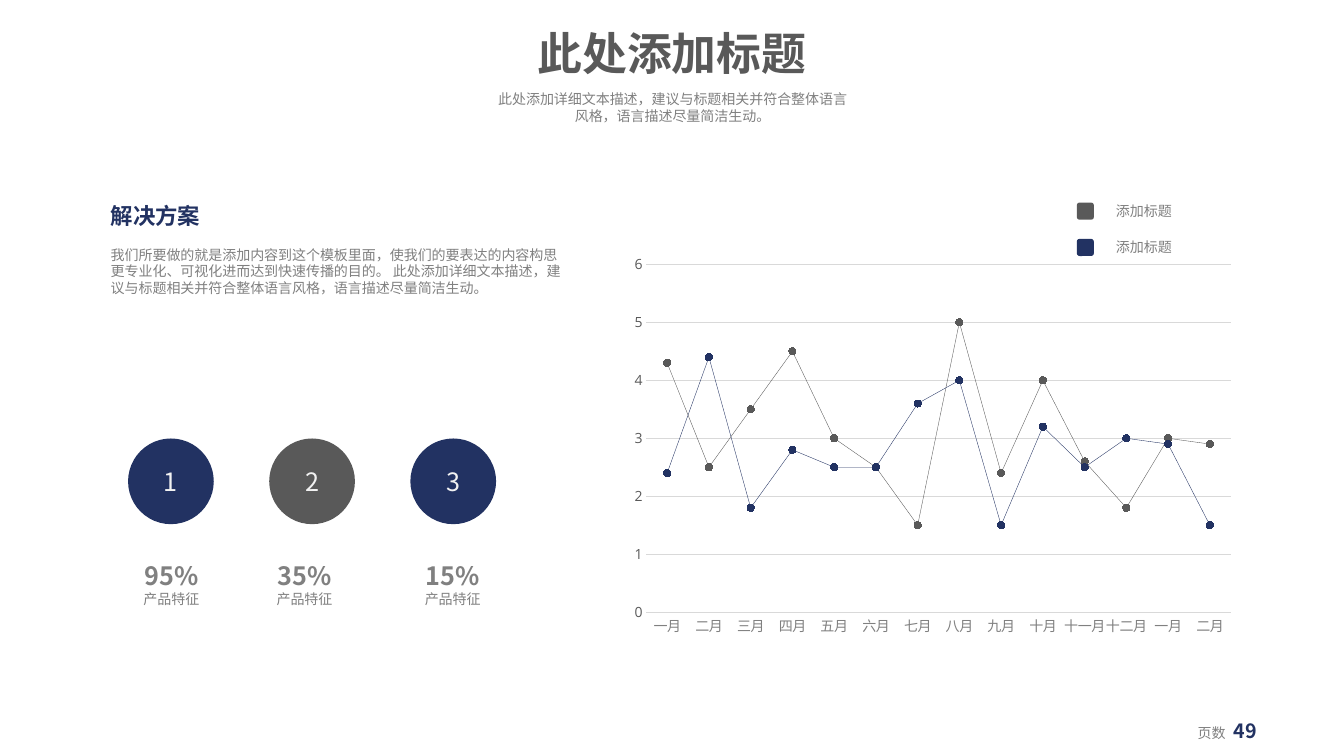
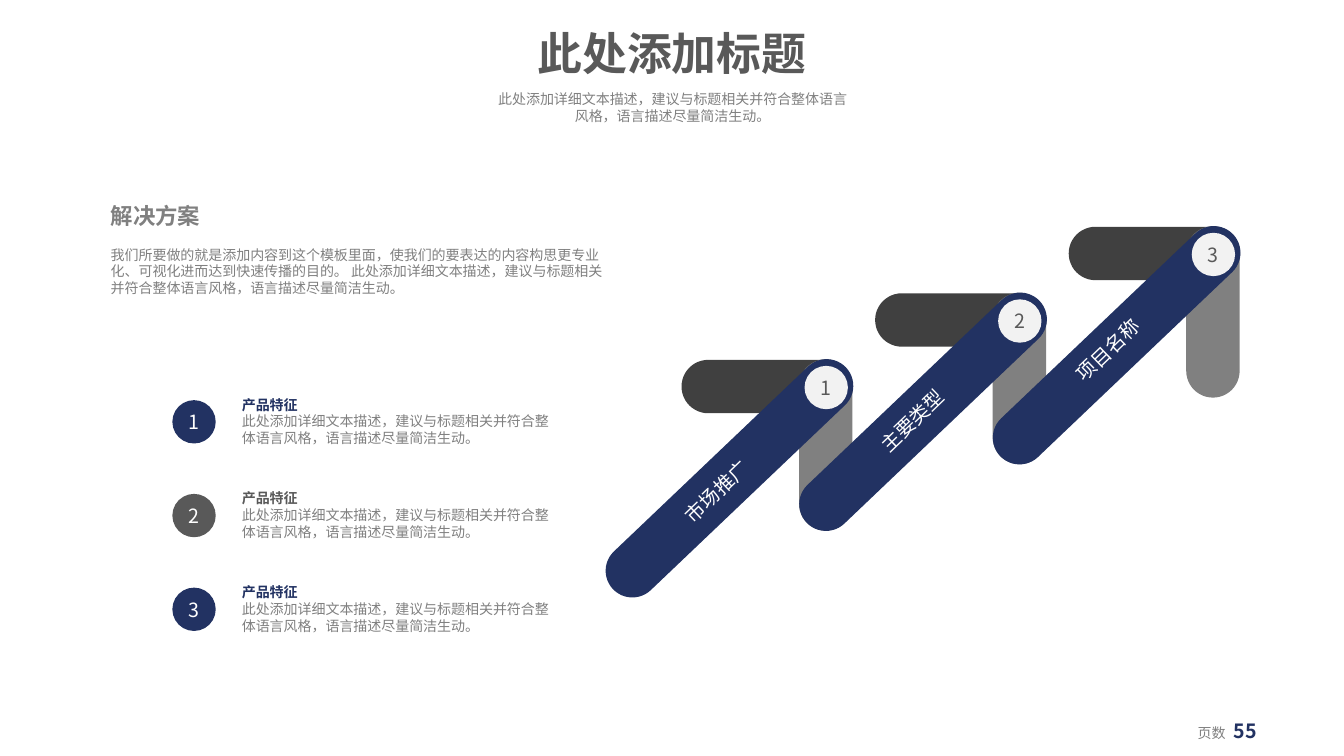
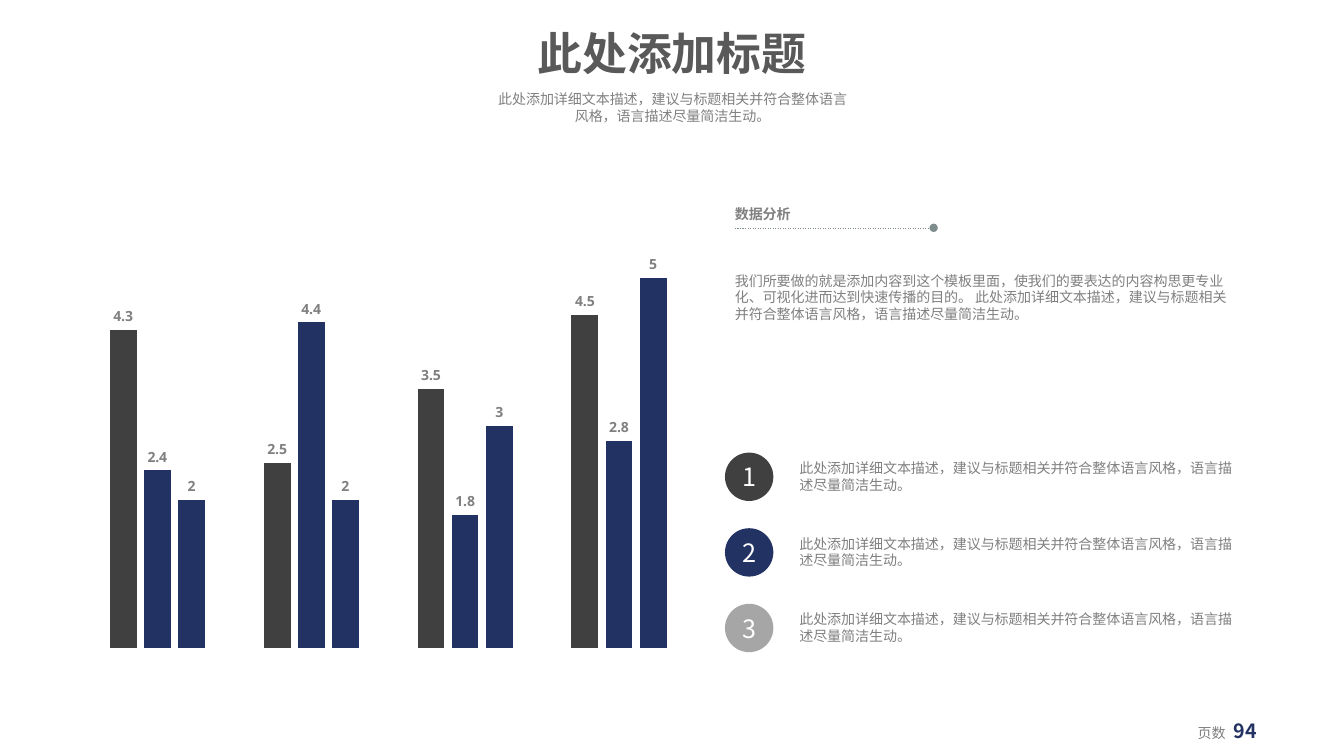
"""Build three business slides: line chart, rising arrows and column chart."""
from lxml import etree
from pptx import Presentation
from pptx import util as u
from pptx.chart.data import CategoryChartData
from pptx.dml.color import RGBColor
from pptx.enum import chart as ch, dml, shapes, text
from pptx.oxml.ns import qn

NAVY = RGBColor(0x22, 0x32, 0x62)
DARK = RGBColor(0x40, 0x40, 0x40)
SLATE = RGBColor(0x59, 0x59, 0x59)
GRAY = RGBColor(0x80, 0x80, 0x80)
SILVER = RGBColor(0xA6, 0xA6, 0xA6)
RULE = RGBColor(0xD9, 0xD9, 0xD9)
TEAL = RGBColor(0x7F, 0x8C, 0x8D)
PALE = RGBColor(0xF2, 0xF2, 0xF2)
WHITE = RGBColor(0xFF, 0xFF, 0xFF)

CJK, LATIN = "Noto Sans CJK SC", "Open Sans"
LEFT, CENTER = text.PP_ALIGN.LEFT, text.PP_ALIGN.CENTER
OVAL, ROUND = shapes.MSO_SHAPE.OVAL, shapes.MSO_SHAPE.ROUNDED_RECTANGLE

BLURB = "此处添加详细文本描述，建议与标题相关并符合整体语言风格，语言描述尽量简洁生动。"
INTRO = "我们所要做的就是添加内容到这个模板里面，使我们的要表达的内容构思更专业化、可视化进而达到快速传播的目的。 " + BLURB
MONTHS = ["一月", "二月", "三月", "四月", "五月", "六月", "七月", "八月", "九月",
          "十月", "十一月", "十二月", "一月", "二月"]


def fmt(size=10, color=GRAY, bold=False, name=CJK):
    """Return the format values of one piece of text."""
    return dict(size=u.Pt(size), color=color, bold=bold, name=name)


def apply(font, values):
    """Set font attributes from a dict of format values."""
    for key, value in values.items():
        if key == "color":
            font.color.rgb = value
        else:
            setattr(font, key, value)


class Deck:
    """Hold the presentation, its style and the current slide."""

    def __init__(self):
        """Start an empty widescreen presentation."""
        self.prs = Presentation()
        self.prs.slide_width, self.prs.slide_height = u.Inches(13.33), u.Inches(7.5)
        self.s = None

    def slide(self, page):
        """Add a slide with the shared title, subtitle and page number."""
        self.s = self.prs.slides.add_slide(self.prs.slide_layouts[5])
        sp = self.s.shapes.title
        sp.left, sp.top, sp.width, sp.height = map(u.Inches, (5.22, 0.21, 2.89, 0.64))
        self.fill_text(sp, [("此处添加标题", fmt(32, SLATE, True))], CENTER, wrap=False)
        self.text((4.8, 0.85, 3.74, 0.44), [(BLURB, fmt())], CENTER)
        sp = self.text((11.78, 7.08, 0.92, 0.34), [])
        p = sp.text_frame.paragraphs[0]
        tabs = etree.SubElement(p._p.get_or_add_pPr(), qn("a:tabLst"))
        etree.SubElement(tabs, qn("a:tab"), pos=str(u.Inches(0.36)), algn="l")
        self.run(p, "页数\t", fmt())
        self.run(p, str(page), fmt(14, NAVY, True))

    def run(self, p, words, values):
        """Add a formatted run to a paragraph."""
        r = p.add_run()
        r.text = words
        apply(r.font, values)
        etree.SubElement(r._r.get_or_add_rPr(), qn("a:ea"), typeface=values["name"])

    def fill_text(self, sp, paras, align=LEFT, wrap=True, gap=0,
                  anchor=text.MSO_ANCHOR.TOP):
        """Write paragraphs of (words, format) into a shape."""
        tf = sp.text_frame
        tf.word_wrap, tf.vertical_anchor = wrap, anchor
        tf.auto_size = text.MSO_AUTO_SIZE.NONE
        for i, (words, values) in enumerate(paras):
            p = tf.add_paragraph() if i else tf.paragraphs[0]
            p.alignment = align
            if i and gap:
                p.space_before = u.Pt(gap)
            self.run(p, words, values)

    def text(self, at, paras, align=LEFT, wrap=True, gap=0, rot=0):
        """Add a text box."""
        sp = self.s.shapes.add_textbox(*map(u.Inches, at))
        sp.rotation = rot
        self.fill_text(sp, paras, align, wrap, gap)
        return sp

    def shape(self, kind, at, color, rot=0):
        """Add a plain filled shape."""
        sp = self.s.shapes.add_shape(kind, *map(u.Inches, at))
        sp.shadow.inherit = False
        sp.fill.solid()
        sp.fill.fore_color.rgb = color
        sp.line.fill.background()
        sp.rotation = rot
        return sp

    def bar(self, at, color, rot=0):
        """Add a bar with fully rounded ends."""
        self.shape(ROUND, at, color, rot).adjustments[0] = 0.5

    def badge(self, x, y, d, number, color, size, ink=WHITE):
        """Add a numbered circle."""
        sp = self.shape(OVAL, (x, y, d, d), color)
        tf = sp.text_frame
        for side in ("left", "right", "top", "bottom"):
            setattr(tf, "margin_" + side, 0)
        self.fill_text(sp, [(str(number), fmt(size, ink))], CENTER,
                       anchor=text.MSO_ANCHOR.MIDDLE)

    def rule(self, x1, x2, y):
        """Add a dashed line that ends in a dot."""
        c = self.s.shapes.add_connector(shapes.MSO_CONNECTOR.STRAIGHT,
                                        *map(u.Inches, (x1, y, x2, y)))
        c.line.color.rgb, c.line.width = TEAL, u.Pt(0.25)
        c.line.dash_style = dml.MSO_LINE.DASH
        etree.SubElement(c.line._get_or_add_ln(), qn("a:tailEnd"), type="oval")
        etree.SubElement(c._element.spPr, qn("a:effectLst"))

    def chart(self, kind, at, cats, rows, values):
        """Add a chart without title or legend and return it."""
        data = CategoryChartData()
        data.categories = cats
        for i, row in enumerate(rows, 1):
            data.add_series(f"Series {i}", row)
        chart = self.s.shapes.add_chart(kind, *map(u.Inches, at), data).chart
        chart.has_title = chart.has_legend = False
        apply(chart.font, values)
        chart.plots[0].vary_by_categories = False
        axis = chart.value_axis
        axis.minimum_scale, axis.maximum_scale, axis.major_unit = 0, 6, 1
        return chart

    def line_chart(self, at, cats, rows, colors):
        """Add a line chart with round markers."""
        chart = self.chart(ch.XL_CHART_TYPE.LINE_MARKERS, at, cats, rows, fmt())
        cat, val = chart.category_axis, chart.value_axis
        for axis, color in ((cat, GRAY), (val, SLATE)):
            axis.major_tick_mark = axis.minor_tick_mark = ch.XL_TICK_MARK.NONE
            apply(axis.tick_labels.font, fmt(color=color, name=LATIN))
        val.format.line.fill.background()
        for line in (cat.format.line, val.major_gridlines.format.line):
            line.color.rgb, line.width = RULE, u.Pt(0.75)
        for series, color in zip(chart.plots[0].series, colors):
            series.smooth = False
            series.format.line.color.rgb = color
            series.format.line.width = u.Pt(0.25)
            mark = series.marker
            mark.style, mark.size = ch.XL_MARKER_STYLE.CIRCLE, 5
            mark.format.fill.solid()
            mark.format.fill.fore_color.rgb = color
            mark.format.line.color.rgb = color

    def column_chart(self, at, cats, rows, colors):
        """Add a column chart with value labels and no axes."""
        values = fmt(bold=True, name=LATIN)
        chart = self.chart(ch.XL_CHART_TYPE.COLUMN_CLUSTERED, at, cats, rows, values)
        chart.value_axis.has_major_gridlines = False
        chart.category_axis.visible = chart.value_axis.visible = False
        plot = chart.plots[0]
        plot.gap_width, plot.overlap = 219, -27
        for series, color in zip(plot.series, colors):
            series.format.fill.solid()
            series.format.fill.fore_color.rgb = color
            labels = series.data_labels
            labels.show_value = True
            labels.position = ch.XL_LABEL_POSITION.OUTSIDE_END
            apply(labels.font, values)


def trend_slide(deck):
    """Draw the line chart with its key figures."""
    deck.slide(49)
    deck.line_chart((6.17, 2.45, 6.16, 3.94), MONTHS, [
        (4.3, 2.5, 3.5, 4.5, 3, 2.5, 1.5, 5, 2.4, 4, 2.6, 1.8, 3, 2.9),
        (2.4, 4.4, 1.8, 2.8, 2.5, 2.5, 3.6, 4, 1.5, 3.2, 2.5, 3, 2.9, 1.5),
    ], (SLATE, NAVY))
    for i, color in enumerate((SLATE, NAVY)):
        y = 1.96 + 0.36 * i
        deck.shape(ROUND, (10.68, y + 0.05, 0.17, 0.17), color)
        deck.text((10.97, y, 0.76, 0.27), [("添加标题", fmt())], wrap=False)
    deck.text((1, 1.96, 4.66, 1.04),
              [("解决方案", fmt(16, NAVY, True)), (INTRO, fmt())], gap=12)
    figures = ((NAVY, 1.32, "95%"), (SLATE, 2.64, "35%"), (NAVY, 4.11, "15%"))
    for i, (color, x, share) in enumerate(figures):
        deck.badge(1.27 + 1.4 * i, 4.35, 0.85, i + 1, color, 18, PALE)
        deck.text((x, 5.51, 0.76, 0.57),
                  [(share, fmt(18, bold=True)), ("产品特征", fmt())], CENTER, wrap=False)


def arrows_slide(deck):
    """Draw three rising arrows beside a numbered list."""
    deck.slide(55)
    for i, name in enumerate(("市场推广", "主要类型", "项目名称")):
        dx, dy = 1.92 * i, -0.66 * i
        deck.bar((6.76 + dx, 3.57 + dy, 1.7, 0.53), DARK)
        deck.bar((7.34 + dx, 4.15 + dy, 1.7, 0.53), GRAY, 90)
        deck.bar((5.64 + dx, 4.48 + dy, 3.19, 0.53), NAVY, 136.4)
        deck.badge(7.98 + dx, 3.63 + dy, 0.43, i + 1, PALE, 14, SLATE)
        deck.text((6.62 + 1.94 * i, 4.7 - 0.7 * i, 0.99, 0.34),
                  [(name, fmt(14, WHITE))], wrap=False, rot=316)
    deck.text((1, 1.96, 5.16, 1.04),
              [("解决方案", fmt(16, bold=True)), (INTRO, fmt())], gap=12)
    for i, color in enumerate((NAVY, SLATE, NAVY)):
        y = 3.88 + 0.93 * i
        deck.badge(1.71, y + 0.09, 0.43, i + 1, color, 14)
        deck.text((2.3, y, 3.32, 0.61),
                  [("产品特征", fmt(color=color, bold=True)), (BLURB, fmt())])


def analysis_slide(deck):
    """Draw the column chart beside its analysis."""
    deck.slide(94)
    deck.column_chart((0.67, 1.93, 6.36, 4.59), ["1", "2", "3", "4"], [
        (4.3, 2.5, 3.5, 4.5), (2.4, 4.4, 1.8, 2.8), (2, 2, 3, 5),
    ], (DARK, NAVY, NAVY))
    deck.rule(7.29, 9.26, 2.26)
    deck.text((7.19, 1.99, 0.76, 0.27), [("数据分析", fmt(bold=True))], wrap=False)
    deck.text((7.19, 2.65, 5.15, 0.61), [(INTRO, fmt())])
    for i, color in enumerate((DARK, NAVY, SILVER)):
        y = 4.49 + 0.75 * i
        deck.badge(7.19, y, 0.48, i + 1, color, 18)
        deck.text((7.83, y + 0.02, 4.5, 0.44), [(BLURB, fmt())])


def main():
    """Build and save the slides."""
    deck = Deck()
    for build in (trend_slide, arrows_slide, analysis_slide):
        build(deck)
    deck.prs.save("out.pptx")


if __name__ == "__main__":
    main()
